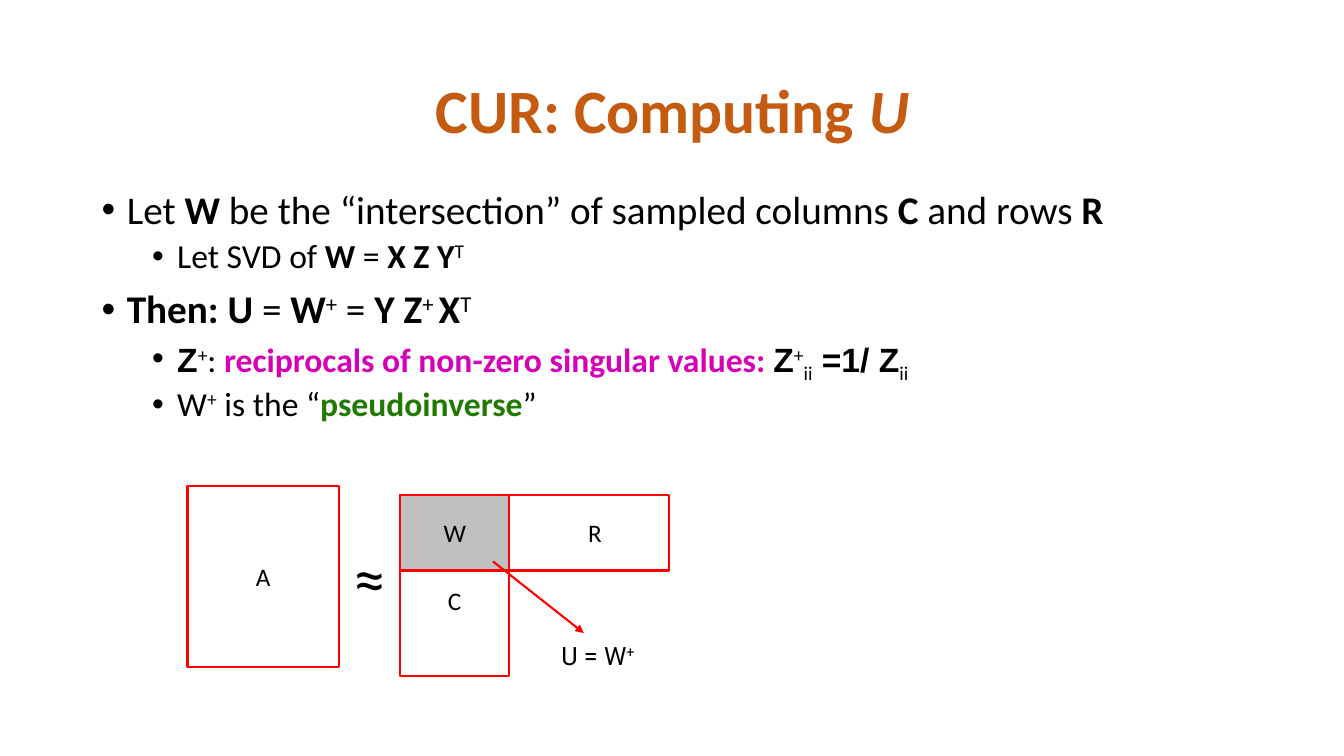
from lxml import etree
from pptx import Presentation
from pptx import util as u
from pptx.dml import color
from pptx.enum import shapes, text
from pptx.oxml import ns

BLACK = "000000"
RED = "FF0000"
ORANGE = "C55A11"
MAGENTA = "D600B7"
GREEN = "207A00"
GRAY = "C0C0C0"
WHITE = "FFFFFF"
BOLD = {"bold": True}
SUPER = {"baseline": 30}
SUB = {"baseline": -25}
ARIAL = {"bold": True, "font": "Arial"}


def rgb(value):
    return color.RGBColor.from_string(value)


def add_run(paragraph, content, font="Calibri", size=18, hue=BLACK,
            bold=False, italic=False, baseline=0):
    run = paragraph.add_run()
    run.text = content
    run.font.name = font
    run.font.size = u.Pt(size)
    run.font.color.rgb = rgb(hue)
    run.font.bold = bold
    run.font.italic = italic
    if baseline:
        run._r.get_or_add_rPr().set("baseline", str(baseline * 1000))


class SlideBuilder:
    line_width = u.Pt(1.5)
    bullet_levels = ((0.25, 28, 10), (0.75, 24, 5))

    def __init__(self, slide):
        self.slide = slide

    def textbox(self, left, top, width, height, runs=(), centered=False, **style):
        box = self.slide.shapes.add_textbox(
            u.Inches(left), u.Inches(top), u.Inches(width), u.Inches(height))
        frame = box.text_frame
        frame.word_wrap = True
        paragraph = frame.paragraphs[0]
        if centered:
            frame.vertical_anchor = text.MSO_ANCHOR.MIDDLE
            paragraph.alignment = text.PP_ALIGN.CENTER
            paragraph.line_spacing = 0.9
        for content, extra in runs:
            add_run(paragraph, content, **{**style, **extra})
        return frame

    def bullets(self, left, top, width, height, items):
        frame = self.textbox(left, top, width, height)
        for index, (level, runs) in enumerate(items):
            margin, size, space = self.bullet_levels[level]
            paragraph = frame.add_paragraph() if index else frame.paragraphs[0]
            paragraph.level = level
            paragraph.line_spacing = 0.9
            paragraph.space_before = u.Pt(space if index else 0)
            properties = paragraph._p.get_or_add_pPr()
            properties.set("marL", str(u.Inches(margin)))
            properties.set("indent", str(u.Inches(-0.25)))
            etree.SubElement(properties, ns.qn("a:buFont")).set("typeface", "Arial")
            etree.SubElement(properties, ns.qn("a:buChar")).set("char", "•")
            for content, extra in runs:
                add_run(paragraph, content, size=size, **extra)

    def matrix(self, left, top, width, height, label, fill=None,
               inset_left=0.1, inset_top=0.05):
        shape = self.slide.shapes.add_shape(
            shapes.MSO_SHAPE.RECTANGLE,
            u.Inches(left), u.Inches(top), u.Inches(width), u.Inches(height))
        shape.shadow.inherit = False
        if fill:
            shape.fill.solid()
            shape.fill.fore_color.rgb = rgb(fill)
        else:
            shape.fill.background()
        shape.line.color.rgb = rgb(RED)
        shape.line.width = self.line_width
        frame = shape.text_frame
        frame.word_wrap = True
        frame.margin_left = u.Inches(inset_left)
        frame.margin_top = u.Inches(inset_top)
        frame.vertical_anchor = text.MSO_ANCHOR.MIDDLE
        paragraph = frame.paragraphs[0]
        paragraph.alignment = text.PP_ALIGN.CENTER
        add_run(paragraph, label)

    def arrow(self, x1, y1, x2, y2):
        connector = self.slide.shapes.add_connector(
            shapes.MSO_CONNECTOR.STRAIGHT,
            u.Inches(x1), u.Inches(y1), u.Inches(x2), u.Inches(y2))
        connector.line.color.rgb = rgb(RED)
        connector.line.width = self.line_width
        line = connector.line._get_or_add_ln()
        etree.SubElement(line, ns.qn("a:tailEnd")).set("type", "triangle")
        etree.SubElement(connector._element.spPr, ns.qn("a:effectLst"))


def main():
    presentation = Presentation()
    presentation.slide_width = u.Inches(13.33)
    presentation.slide_height = u.Inches(7.5)
    builder = SlideBuilder(
        presentation.slides.add_slide(presentation.slide_layouts[6]))

    builder.textbox(0.92, 0.4, 11.5, 1.45,
                    [("CUR: Computing ", {}), ("U", {"italic": True})],
                    centered=True, size=44, hue=ORANGE, bold=True)
    builder.bullets(0.91, 1.84, 11.5, 2.74, [
        (0, [("Let ", {}), ("W", BOLD),
             (" be the “intersection” of sampled columns ", {}),
             ("C", BOLD), (" and rows ", {}), ("R", BOLD)]),
        (1, [("Let SVD of ", {}), ("W ", BOLD), ("=", {}),
             (" X Z Y", BOLD), ("T", SUPER)]),
        (0, [("Then: U", BOLD), (" = ", {}), ("W", BOLD), ("+", SUPER),
             (" = ", {}), ("Y Z", BOLD), ("+ ", SUPER), ("X", BOLD),
             ("T", SUPER)]),
        (1, [("Ζ", ARIAL), ("+", SUPER), (": ", {}),
             ("reciprocals of non-zero singular values: ",
              {"bold": True, "hue": MAGENTA}),
             ("Ζ", ARIAL), ("+", SUPER), ("ii", SUB),
             (" =1/ Ζ", ARIAL), ("ii", SUB)]),
        (1, [("W", {}), ("+", SUPER), (" is the “", {}),
             ("pseudoinverse", {"bold": True, "hue": GREEN}), ("”", {})]),
    ])

    left, top, column_width, row_height, column_height = 3.97, 4.91, 1.08, 0.75, 1.8
    builder.matrix(1.86, 4.82, 1.5, column_height, "A", WHITE)
    builder.matrix(left, top, column_width, column_height, "C", WHITE, inset_top=0.35)
    builder.matrix(left, top, 2.67, row_height, "R", inset_left=1.29)
    builder.textbox(5.47, 6.3, 1.2, 0.4, [("U = W", {}), ("+", SUPER)], font="Roboto")
    builder.matrix(left, top, column_width, row_height, "W", GRAY)
    builder.arrow(4.89, 5.57, 5.79, 6.28)
    builder.textbox(3.39, 5.32, 0.75, 0.83, [("≈", {})], font="Lato", size=44)

    presentation.save("out.pptx")


if __name__ == "__main__":
    main()
